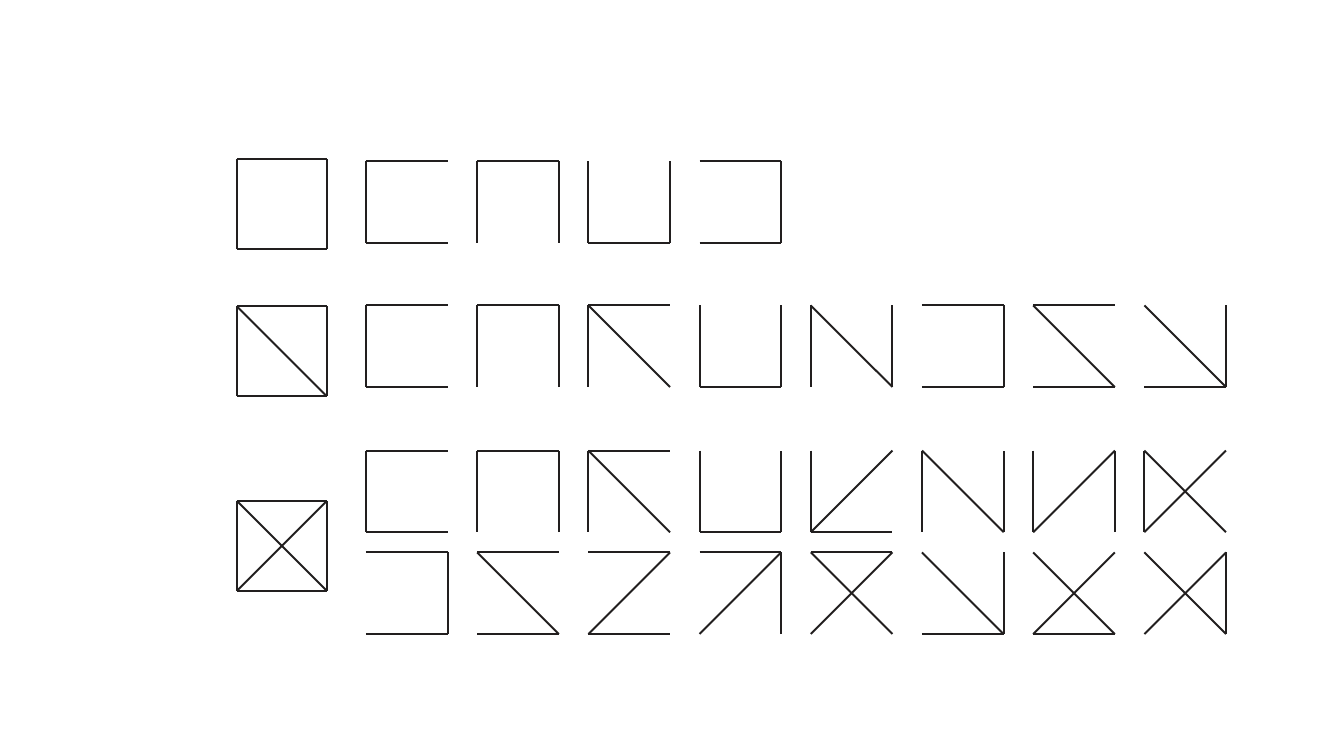
"""Draws three graphs on four corners, each followed by all of its spanning trees."""
import itertools
from dataclasses import dataclass

import pptx
import pptx.dml.color
import pptx.util

Inches = pptx.util.Inches
GRID = 100
EDGES = {
    "left": ((0, 0), (0, GRID)),
    "top": ((0, 0), (GRID, 0)),
    "bottom": ((0, GRID), (GRID, GRID)),
    "right": ((GRID, GRID), (GRID, 0)),
    "falling": ((0, 0), (GRID, GRID)),
    "rising": ((0, GRID), (GRID, 0)),
}
SQUARE = ("left", "top", "bottom", "right")
GRAPHS = (
    (SQUARE, 1.58, (1.6,)),
    (SQUARE + ("falling",), 3.04, (3.03,)),
    (SQUARE + ("falling", "rising"), 4.97, (4.47, 5.48)),
)
GRAPH_LEFT, GRAPH_SIZE = 2.35, 0.89
TREE_LEFT, TREE_LAST_LEFT, TREE_SIZE = 3.63, 11.35, 0.81
TREES_PER_ROW = 8
TREE_PITCH = (TREE_LAST_LEFT - TREE_LEFT) / (TREES_PER_ROW - 1)


@dataclass
class Theme:
    ink: str = "221F1F"
    line_width: float = 1.38


class GraphSlide:
    def __init__(self, slide, theme):
        self.slide = slide
        self.theme = theme

    def graph(self, edges, left, top, size):
        segments = [EDGES[edge] for edge in edges]
        outline = self.slide.shapes.build_freeform(
            *segments[0][0], scale=Inches(size) / GRID
        )
        for start, end in segments:
            outline.move_to(*start)
            outline.add_line_segments([end], close=False)
        figure = outline.convert_to_shape(Inches(left), Inches(top))
        figure.shadow.inherit = False
        figure.fill.background()
        figure.line.color.rgb = pptx.dml.color.RGBColor.from_string(self.theme.ink)
        figure.line.width = pptx.util.Pt(self.theme.line_width)


def spanning_trees(edges):
    for tree in itertools.combinations(edges, 3):
        corners = {corner for edge in tree for corner in EDGES[edge]}
        if len(corners) == 4:
            yield tree


def main():
    presentation = pptx.Presentation()
    presentation.slide_width = Inches(13.33)
    presentation.slide_height = Inches(7.5)
    blank = presentation.slide_layouts[6]
    page = GraphSlide(presentation.slides.add_slide(blank), Theme())

    for edges, graph_top, row_tops in GRAPHS:
        page.graph(edges, GRAPH_LEFT, graph_top, GRAPH_SIZE)
        for index, tree in enumerate(spanning_trees(edges)):
            row, column = divmod(index, TREES_PER_ROW)
            left = TREE_LEFT + column * TREE_PITCH
            page.graph(tree, left, row_tops[row], TREE_SIZE)

    presentation.save("out.pptx")


if __name__ == "__main__":
    main()
